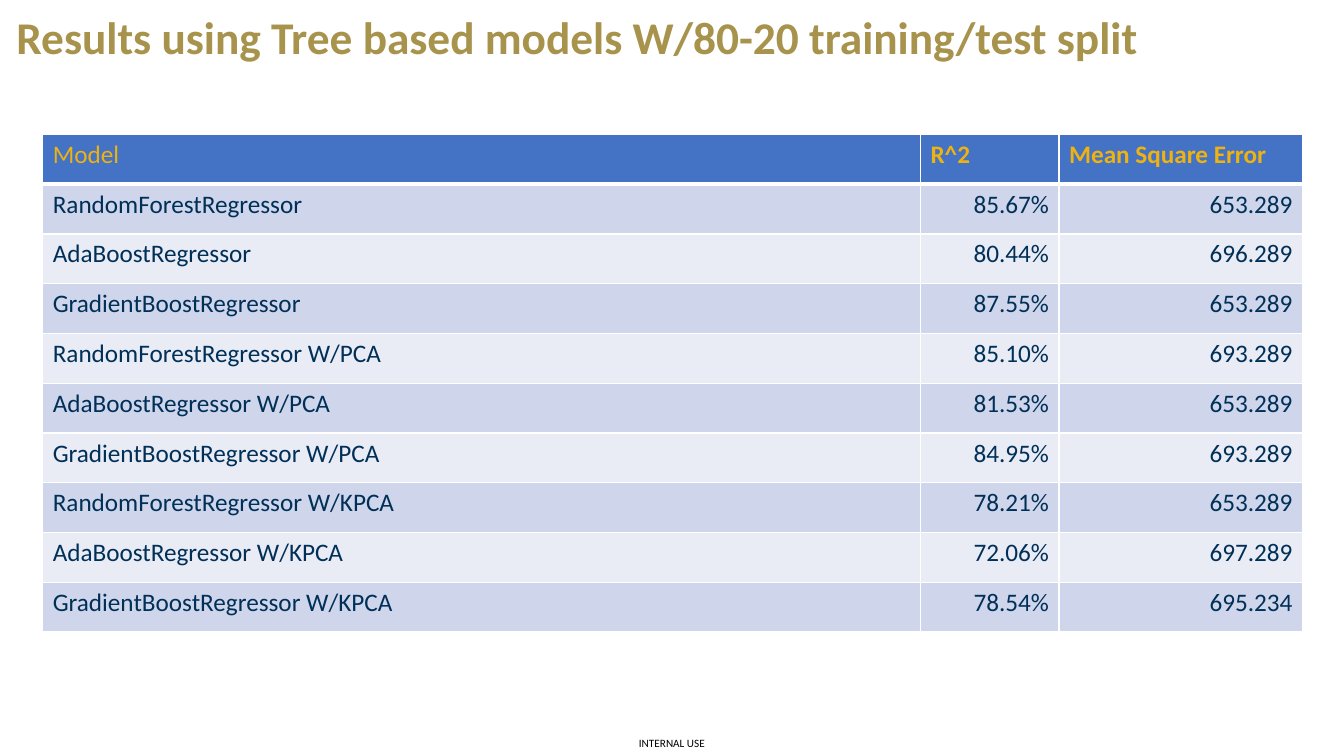
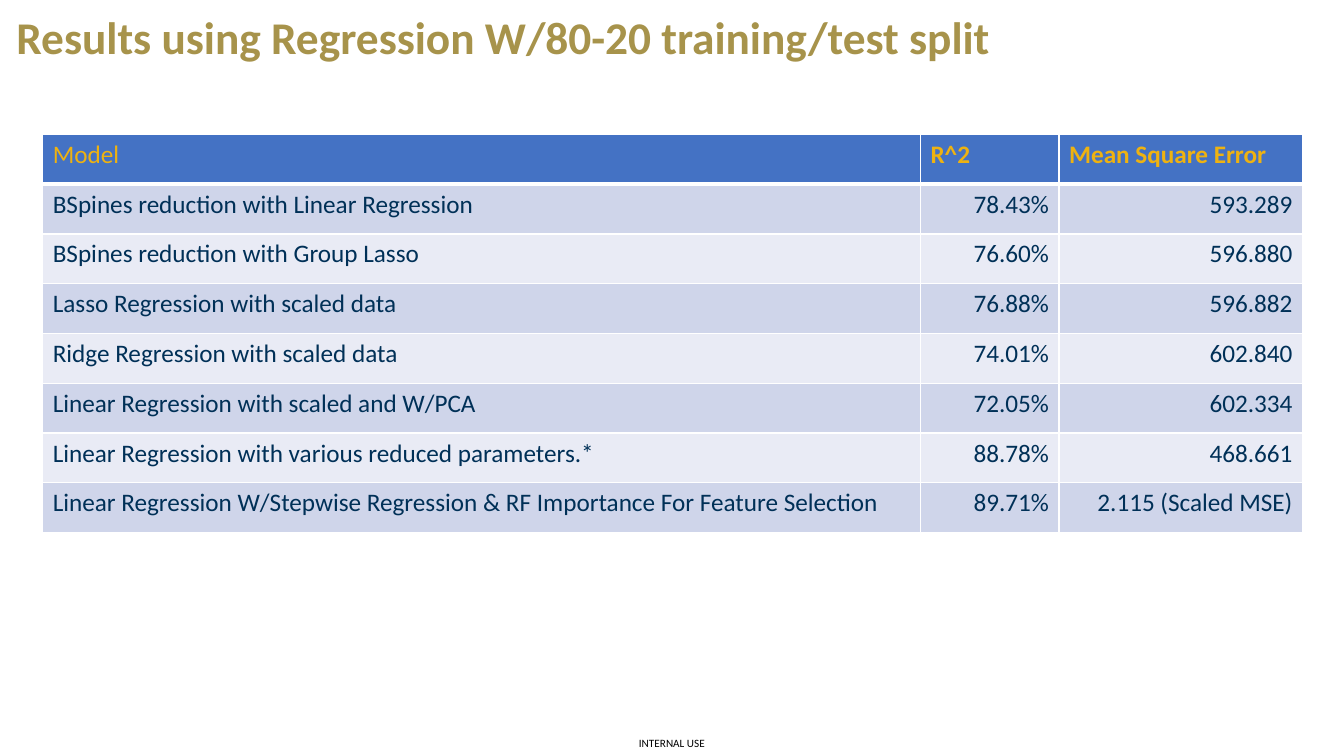
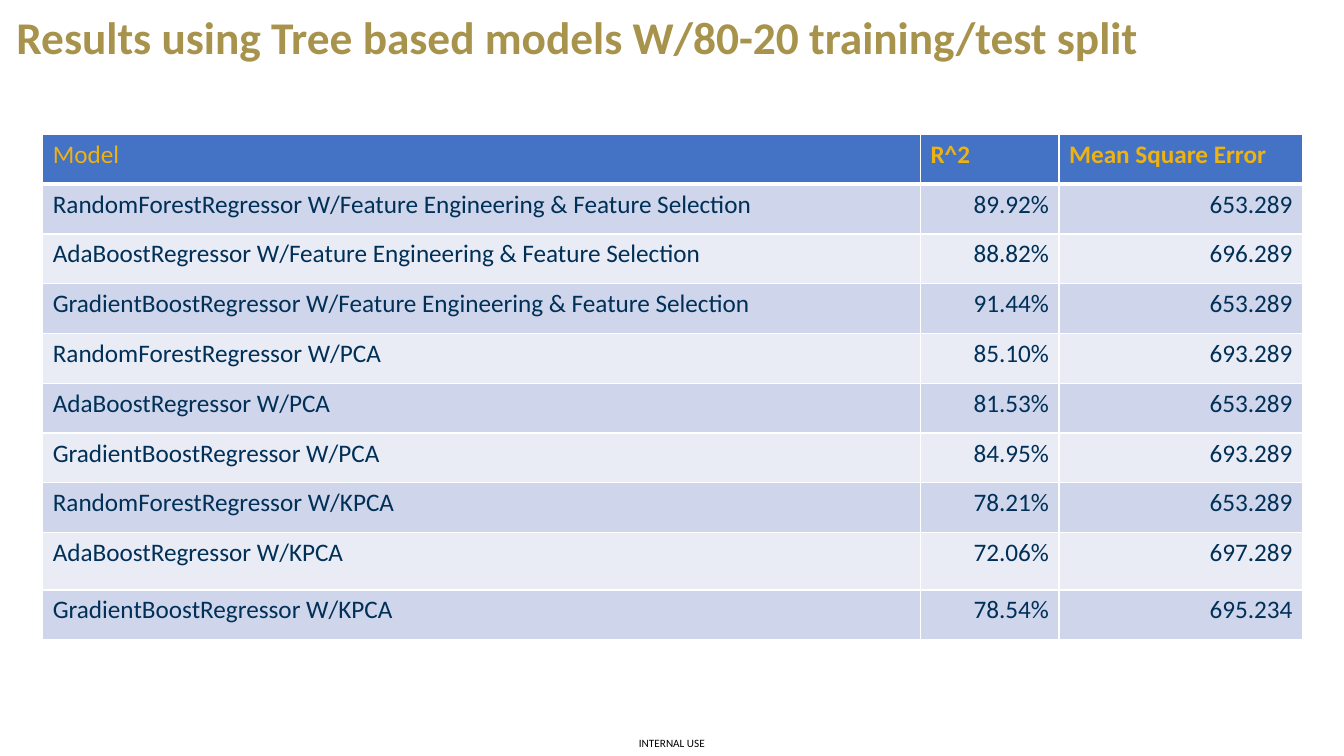
import pptx
import pptx.dml.color
import pptx.enum.text
import pptx.oxml
import pptx.oxml.ns
import pptx.util

Pt = pptx.util.Pt
RGBColor = pptx.dml.color.RGBColor
PP_ALIGN = pptx.enum.text.PP_ALIGN
MSO_ANCHOR = pptx.enum.text.MSO_ANCHOR

# Shared look
FONT = "Calibri"
GOLD = RGBColor(0xA7, 0x93, 0x4B)
YELLOW = RGBColor(0xEE, 0xB2, 0x11)
NAVY = RGBColor(0x00, 0x30, 0x57)
BLUE = RGBColor(0x44, 0x72, 0xC4)
BLACK = RGBColor(0x00, 0x00, 0x00)
WHITE = RGBColor(0xFF, 0xFF, 0xFF)
BANDS = [RGBColor(0xE9, 0xEB, 0xF5), RGBColor(0xCF, 0xD5, 0xEA)]
COLUMN_WIDTHS = [627, 99, 174]
ROW_HEIGHT = 35.56

# Content
HEADER = ("Model", "R^2", "Mean Square Error")
TREE_TITLE = "Results using Tree based models W/80-20 training/test split"
REDUCED_TREES = [
    ("RandomForestRegressor W/PCA", "85.10%", "693.289"),
    ("AdaBoostRegressor W/PCA", "81.53%", "653.289"),
    ("GradientBoostRegressor W/PCA", "84.95%", "693.289"),
    ("RandomForestRegressor W/KPCA", "78.21%", "653.289"),
    ("AdaBoostRegressor W/KPCA", "72.06%", "697.289"),
    ("GradientBoostRegressor W/KPCA", "78.54%", "695.234"),
]
BASE_TREES = [
    ("RandomForestRegressor", "85.67%", "653.289"),
    ("AdaBoostRegressor", "80.44%", "696.289"),
    ("GradientBoostRegressor", "87.55%", "653.289"),
]
REGRESSIONS = [
    ("BSpines reduction with Linear Regression", "78.43%", "593.289"),
    ("BSpines reduction with Group Lasso", "76.60%", "596.880"),
    ("Lasso Regression with scaled data", "76.88%", "596.882"),
    ("Ridge Regression with scaled data", "74.01%", "602.840"),
    ("Linear Regression with scaled and W/PCA", "72.05%", "602.334"),
    ("Linear Regression with various reduced parameters.*", "88.78%", "468.661"),
    ("Linear Regression W/Stepwise Regression & RF Importance For Feature Selection",
     "89.71%", "2.115 (Scaled MSE)"),
]
ENGINEERED_TREES = [
    ("RandomForestRegressor W/Feature Engineering & Feature Selection", "89.92%", "653.289"),
    ("AdaBoostRegressor W/Feature Engineering & Feature Selection", "88.82%", "696.289"),
    ("GradientBoostRegressor W/Feature Engineering & Feature Selection", "91.44%", "653.289"),
]
# Title, body rows, and heights of rows that differ from the rest
SLIDES = [
    (TREE_TITLE, BASE_TREES + REDUCED_TREES, {}),
    ("Results using Regression W/80-20 training/test split", REGRESSIONS, {}),
    (TREE_TITLE, ENGINEERED_TREES + REDUCED_TREES, {8: 41}),
]


def write(frame, text, size, color, bold=False, align=PP_ALIGN.LEFT):
    para = frame.paragraphs[0]
    para.alignment = align
    span = para.add_run()
    span.text = text
    span.font.name = FONT
    span.font.size = Pt(size)
    span.font.bold = bold
    span.font.color.rgb = color
    return para


def add_borders(cell, row):
    properties = cell._tc.get_or_add_tcPr()
    widths = {"L": 1, "R": 1, "T": 3 if row == 1 else 1, "B": 3 if row == 0 else 1}
    for side, width in widths.items():
        properties.append(pptx.oxml.parse_xml(
            f'<a:ln{side} {pptx.oxml.ns.nsdecls("a")} w="{Pt(width)}"><a:solidFill>'
            f'<a:srgbClr val="{WHITE}"/></a:solidFill></a:ln{side}>'))


deck = pptx.Presentation()
deck.slide_width = Pt(960)
deck.slide_height = Pt(540)

# Title place, set on the layout
layout = deck.slide_layouts[5]
title = layout.placeholders[0]
title.left, title.top, title.width, title.height = Pt(4.5), Pt(6.5), Pt(900), Pt(80)
title.text_frame.vertical_anchor = MSO_ANCHOR.TOP
title.text_frame.margin_top = Pt(4.5)

for number, (heading, records, special_heights) in enumerate(SLIDES):
    page = deck.slides.add_slide(layout)

    # Footer, drawn once and moved to the layout
    if number == 0:
        footer = page.shapes.add_textbox(Pt(447), Pt(522), Pt(66), Pt(18))
        frame = footer.text_frame
        frame.margin_left = frame.margin_right = frame.margin_top = frame.margin_bottom = 0
        frame.vertical_anchor = MSO_ANCHOR.MIDDLE
        write(frame, "INTERNAL USE", 8, BLACK, align=PP_ALIGN.CENTER)
        layout.shapes.element.append(footer.element)

    # Title
    para = write(page.shapes.title.text_frame, heading, 32.4, GOLD, bold=True)
    para.line_spacing = 0.9

    # Results table
    rows = [HEADER] + records
    table = page.shapes.add_table(len(rows), len(HEADER), Pt(30.5), Pt(96),
                                  Pt(sum(COLUMN_WIDTHS)), Pt(ROW_HEIGHT * len(rows))).table
    for column, width in enumerate(COLUMN_WIDTHS):
        table.columns[column].width = Pt(width)
    for row, values in enumerate(rows):
        table.rows[row].height = Pt(special_heights.get(row, ROW_HEIGHT))
        for column, value in enumerate(values):
            cell = table.cell(row, column)
            add_borders(cell, row)
            cell.fill.solid()
            if row == 0:
                cell.fill.fore_color.rgb = BLUE
                write(cell.text_frame, value, 18, YELLOW, bold=column > 0)
            else:
                cell.fill.fore_color.rgb = BANDS[row % 2]
                write(cell.text_frame, value, 18, NAVY,
                      align=PP_ALIGN.RIGHT if column else PP_ALIGN.LEFT)

deck.save("out.pptx")
